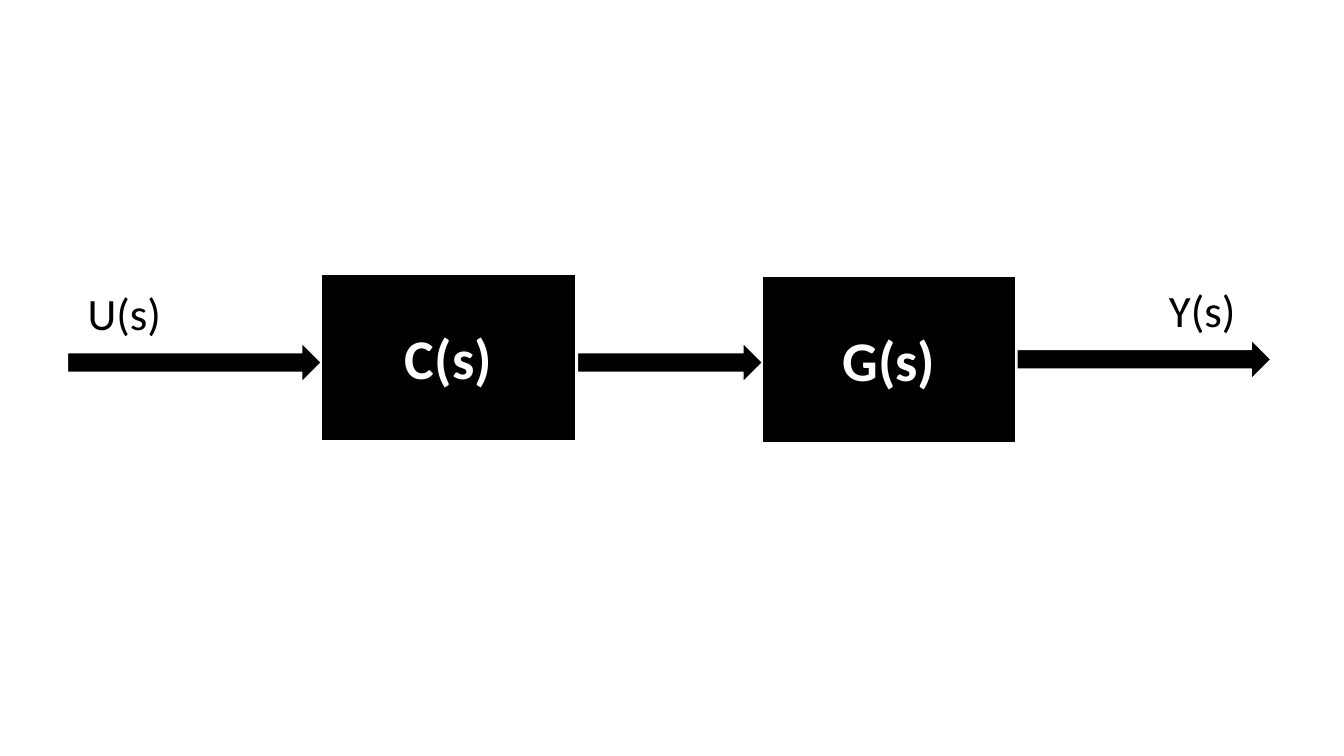
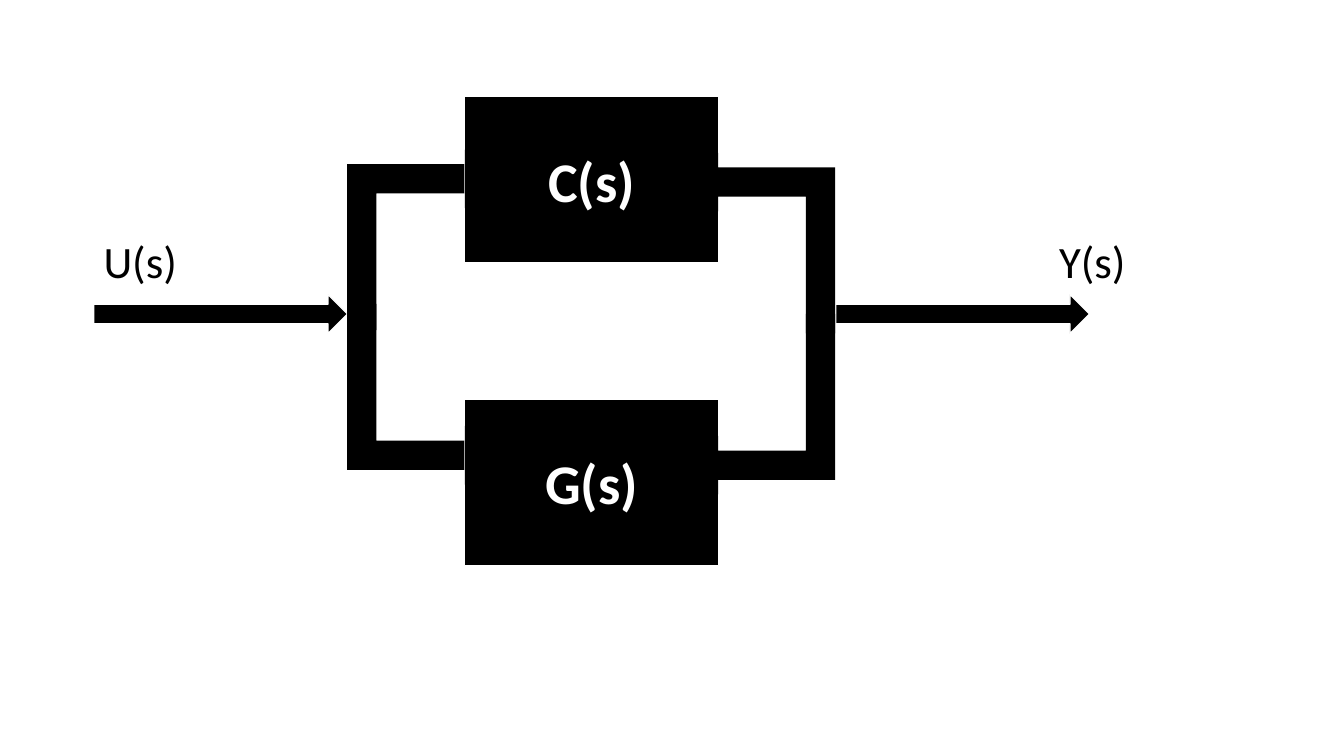
from pptx import Presentation
from pptx.dml.color import RGBColor
from pptx.enum.shapes import MSO_SHAPE
from pptx.enum.text import MSO_ANCHOR, MSO_AUTO_SIZE, PP_ALIGN
from pptx.util import Cm, Pt

BLACK = RGBColor(0, 0, 0)
WHITE = RGBColor(255, 255, 255)
RECT, ARROW, BENT = MSO_SHAPE.RECTANGLE, MSO_SHAPE.RIGHT_ARROW, MSO_SHAPE.BENT_UP_ARROW
CENTER, MIDDLE = PP_ALIGN.CENTER, MSO_ANCHOR.MIDDLE
GROW = MSO_AUTO_SIZE.SHAPE_TO_FIT_TEXT

BLOCK_SIZE = (6.4, 4.19)
LABEL_SIZE = (2.95, 1.5)
BRANCH_SIZE = (4.55, 2.95)
ARROW_HEIGHT = 0.99
LONG, SHORT = 6.4, 4.67
BLOCK_FONT = {"name": "Calibri", "size": Pt(40), "bold": True}
LABEL_FONT = {"name": "Calibri", "size": Pt(32)}

# Positions in cm. blocks and labels: text, left, top; arrows: left, top, length;
# branches: left, top, rotation, flipped
DIAGRAMS = [
    {  # series
        "blocks": [("G(s)", 19.2, 6.96), ("C(s)", 8.1, 6.91)],
        "arrows": [(1.7, 8.64, LONG), (25.63, 8.56, LONG), (14.55, 8.64, SHORT)],
        "labels": [("U(s)", 1.96, 7.24), ("Y(s)", 29.21, 7.16)],
        "branches": [],
    },
    {  # parallel
        "blocks": [("G(s)", 11.71, 10.06), ("C(s)", 11.71, 2.44)],
        "arrows": [(2.36, 7.42, LONG), (21.06, 7.42, LONG)],
        "labels": [("U(s)", 2.36, 5.92), ("Y(s)", 26.44, 5.92)],
        "branches": [
            (17.3, 4.65, 270, False),
            (7.95, 8.46, 90, False),
            (7.95, 4.57, 270, True),
            (17.3, 8.71, 90, True),
        ],
    },
]


def add_black_shape(slide, kind, left, top, width, height, outlined=True):
    s = slide.shapes.add_shape(kind, Cm(left), Cm(top), Cm(width), Cm(height))
    s.shadow.inherit = False
    s.fill.solid()
    s.fill.fore_color.rgb = BLACK
    if outlined:
        s.line.color.rgb = WHITE
        s.line.width = Pt(1)
    else:
        s.line.fill.background()
    return s


def write(p, text, font, color):
    r = p.add_run()
    r.text = text
    for name, value in font.items():
        setattr(r.font, name, value)
    r.font.color.rgb = color


def add_block(slide, text, left, top):
    tf = add_black_shape(slide, RECT, left, top, *BLOCK_SIZE).text_frame
    tf.vertical_anchor = MIDDLE
    p = tf.paragraphs[0]
    p.alignment = CENTER
    write(p, text, BLOCK_FONT, WHITE)


def add_label(slide, text, left, top):
    width, height = LABEL_SIZE
    tf = slide.shapes.add_textbox(Cm(left), Cm(top), Cm(width), Cm(height)).text_frame
    tf.word_wrap = True
    tf.auto_size = GROW
    p = tf.paragraphs[0]
    p.line_spacing = 0.9
    write(p, text, LABEL_FONT, BLACK)


def add_branch(slide, left, top, rotation, flipped):
    """Add a headless elbow; left and top are those of its unrotated frame."""
    s = add_black_shape(slide, BENT, left, top, *BRANCH_SIZE, outlined=False)
    for i, value in enumerate((0.25, 0.25, 0)):
        s.adjustments[i] = value
    s.rotation = rotation
    if flipped:
        s.element.spPr.xfrm.set("flipV", "1")


def main():
    prs = Presentation()
    prs.slide_width, prs.slide_height = Cm(33.87), Cm(19.05)
    for diagram in DIAGRAMS:
        slide = prs.slides.add_slide(prs.slide_layouts[6])
        for block in diagram["blocks"]:
            add_block(slide, *block)
        for left, top, length in diagram["arrows"]:
            add_black_shape(slide, ARROW, left, top, length, ARROW_HEIGHT)
        for label in diagram["labels"]:
            add_label(slide, *label)
        for branch in diagram["branches"]:
            add_branch(slide, *branch)
    prs.save("out.pptx")


if __name__ == "__main__":
    main()
